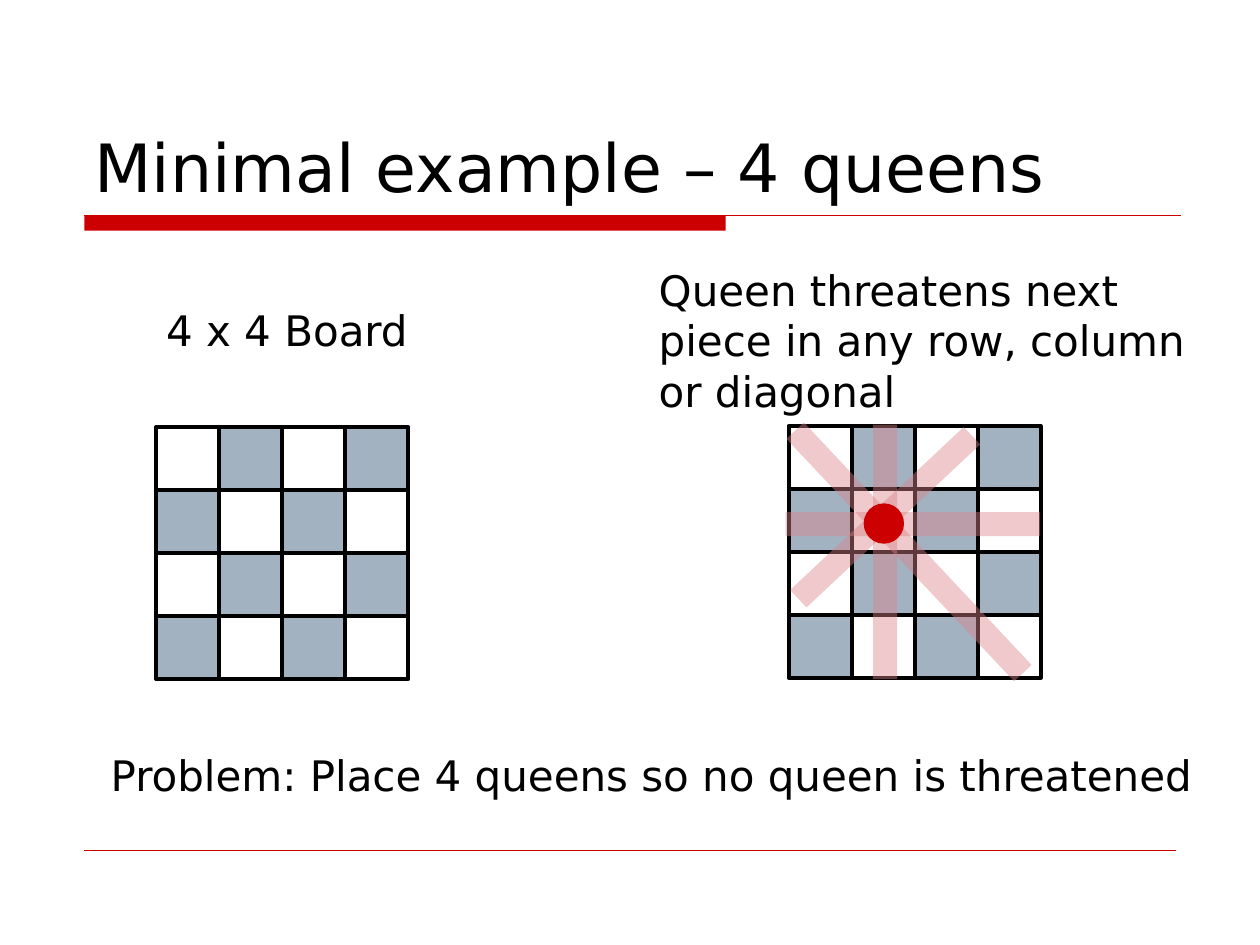
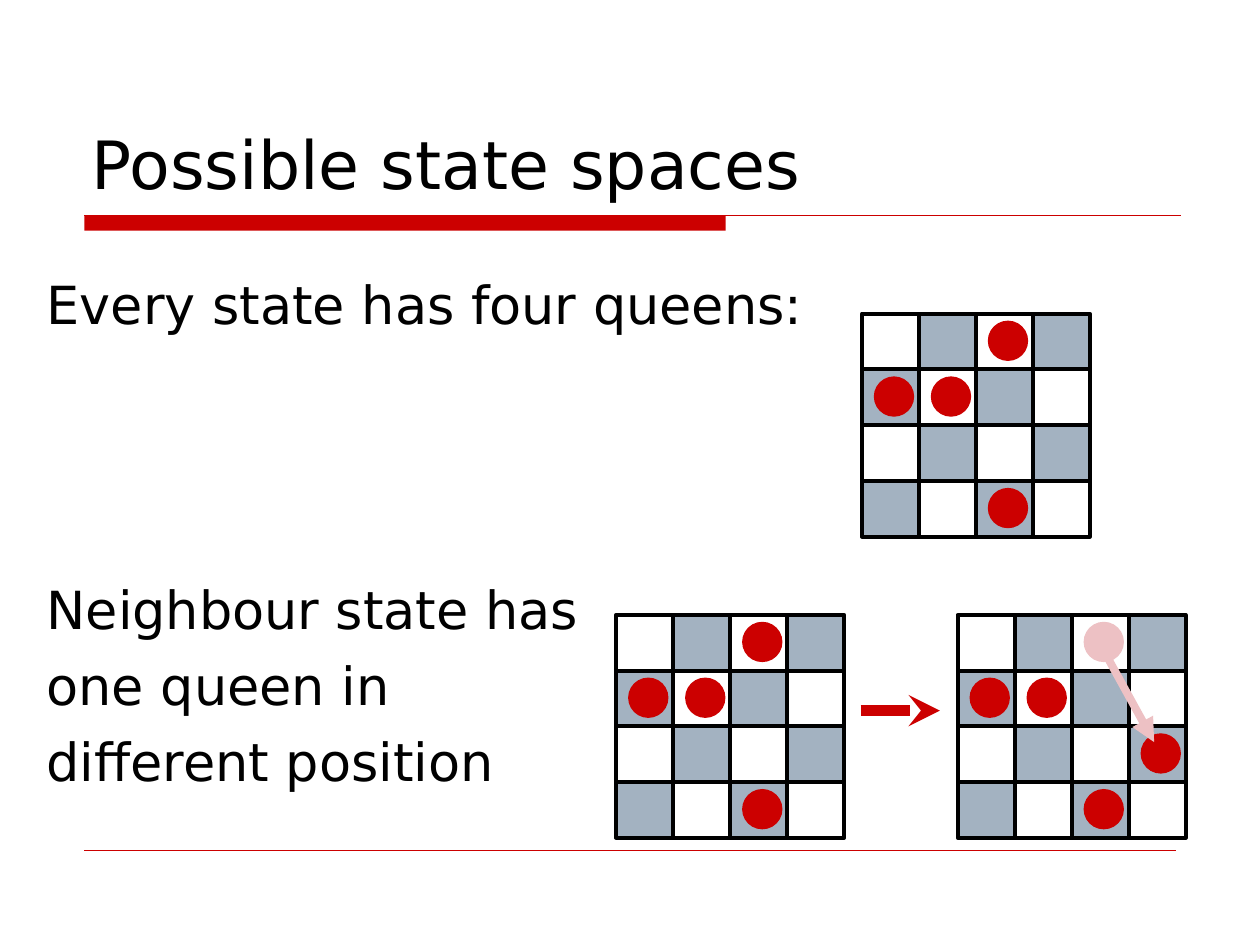
from dataclasses import dataclass

from lxml.etree import SubElement
from pptx import Presentation
from pptx.dml.color import RGBColor
from pptx.enum.shapes import MSO_CONNECTOR, MSO_SHAPE
from pptx.enum.text import MSO_ANCHOR, MSO_AUTO_SIZE, PP_ALIGN
from pptx.oxml.ns import qn
from pptx.util import Inches, Pt


@dataclass(frozen=True)
class Theme:
    font: str = "DejaVu Sans"
    text: str = "000000"
    accent: str = "CC0000"
    beam: str = "DA8288"
    former: str = "EDC1C4"
    light_square: str = "FFFFFF"
    dark_square: str = "A3B2C1"
    title_size: int = 38
    body_size: int = 30
    label_size: int = 24


theme = Theme()
BOARD_SIZE = 4
QUEEN_DIAMETER = 0.31


def add_filled_shape(shapes, kind, bounds, fill, line=None, line_width=0.75):
    shape = shapes.add_shape(kind, *[Inches(value) for value in bounds])
    shape.shadow.inherit = False
    shape.fill.solid()
    shape.fill.fore_color.rgb = RGBColor.from_string(fill)
    if line:
        shape.line.color.rgb = RGBColor.from_string(line)
        shape.line.width = Pt(line_width)
    else:
        shape.line.fill.background()
    return shape


def add_line(slide, start, end, color, width, arrowhead=None):
    connector = slide.shapes.add_connector(
        MSO_CONNECTOR.STRAIGHT, *[Inches(value) for value in (*start, *end)])
    connector.line.color.rgb = RGBColor.from_string(color)
    connector.line.width = Pt(width)
    properties = connector.element.find(qn("p:spPr"))
    if arrowhead:
        SubElement(properties.find(qn("a:ln")), qn("a:tailEnd"), type=arrowhead)
    SubElement(properties, qn("a:effectLst"))


presentation = Presentation()
presentation.slide_width = Inches(10)
presentation.slide_height = Inches(7.5)

# Titles, header band and footer line
slides = []
for layout_index, title, left, top in [
    (5, "Minimal example – 4 queens", 0.65, 0.35),
    (1, "Possible state spaces", 0.63, 0.33),
]:
    slide = presentation.slides.add_slide(presentation.slide_layouts[layout_index])
    slides.append(slide)
    add_filled_shape(slide.shapes, MSO_SHAPE.RECTANGLE, (0.67, 1.71, 5.09, 0.12), theme.accent)
    add_line(slide, (0.67, 1.71), (9.37, 1.71), theme.accent, 0.75)
    add_line(slide, (0.67, 6.75), (9.33, 6.75), theme.accent, 0.25)

    placeholder = slide.shapes.title
    placeholder.left, placeholder.top = Inches(left), Inches(top)
    placeholder.width, placeholder.height = Inches(8.75), Inches(1.33)
    frame = placeholder.text_frame
    frame.auto_size = MSO_AUTO_SIZE.NONE
    frame.vertical_anchor = MSO_ANCHOR.BOTTOM
    paragraph = frame.paragraphs[0]
    paragraph.alignment = PP_ALIGN.LEFT
    run = paragraph.add_run()
    run.text = title
    run.font.name = theme.font
    run.font.size = Pt(theme.title_size)
    run.font.color.rgb = RGBColor.from_string(theme.text)

example_slide, states_slide = slides

# Statements about states
body = states_slide.placeholders[1]
body.left, body.top = Inches(0.27), Inches(2.11)
body.width, body.height = Inches(8.75), Inches(4.67)
frame = body.text_frame
frame.auto_size = MSO_AUTO_SIZE.NONE
for index, (text, space_before) in enumerate([
    ("Every state has four queens:", 7.5),
    ("Neighbour state has", 138),
    ("one queen in", 7.5),
    ("different position", 7.5),
]):
    paragraph = frame.add_paragraph() if index else frame.paragraphs[0]
    paragraph.space_before = Pt(space_before)
    properties = paragraph._p.get_or_add_pPr()
    properties.set("marL", str(Inches(0.51)))
    properties.set("indent", str(-Inches(0.51)))
    SubElement(properties, qn("a:buNone"))
    run = paragraph.add_run()
    run.text = text
    run.font.name = theme.font
    run.font.size = Pt(theme.body_size)
    run.font.color.rgb = RGBColor.from_string(theme.text)

# Boards: slide, position, size, queen inset in its square, beams, queens by row and column
threat_beams = [
    ((6.93, 3.37, 0.19, 2.02), 0),
    ((7.15, 3.15, 0.19, 2.02), 270),
    ((7.12, 3.06, 0.19, 2.64), 316.8),
    ((6.93, 3.16, 0.19, 1.89), 226.8),
]
large, small = (2, 2), (1.81, 1.77)
large_inset, small_inset = (0.1, 0.12), (0.1, 0.06)
start_state = [(1, 0), (1, 1), (3, 2), (0, 2)]
neighbour_state = [(1, 0), (1, 1), (3, 2), (2, 3)]
former_queen = (0, 2)
boards = [
    (example_slide, (1.24, 3.39), large, large_inset, [], [], None),
    (example_slide, (6.26, 3.38), large, large_inset, threat_beams, [(1, 1)], None),
    (states_slide, (6.84, 2.49), small, small_inset, [], start_state, None),
    (states_slide, (4.89, 4.88), small, small_inset, [], start_state, None),
    (states_slide, (7.6, 4.88), small, small_inset, [], neighbour_state, former_queen),
]
for slide, (left, top), (width, height), inset, beams, queens, former in boards:
    board = slide.shapes.add_group_shape()
    square_width, square_height = width / BOARD_SIZE, height / BOARD_SIZE
    for row in range(BOARD_SIZE):
        for column in range(BOARD_SIZE):
            add_filled_shape(
                board.shapes, MSO_SHAPE.RECTANGLE,
                (left + column * square_width, top + row * square_height,
                 square_width, square_height),
                theme.dark_square if (row + column) % 2 else theme.light_square,
                theme.text, 2.25)
    for bounds, rotation in beams:
        beam = add_filled_shape(board.shapes, MSO_SHAPE.RECTANGLE, bounds, theme.beam)
        beam.rotation = rotation
        color = beam.element.find(".//" + qn("a:srgbClr"))
        SubElement(color, qn("a:alpha"), val="43000")
    pieces = [(queen, theme.accent) for queen in queens]
    if former:
        pieces.append((former, theme.former))
    for (row, column), color in pieces:
        add_filled_shape(
            board.shapes, MSO_SHAPE.OVAL,
            (left + inset[0] + column * square_width, top + inset[1] + row * square_height,
             QUEEN_DIAMETER, QUEEN_DIAMETER),
            color, color)

# Moves between states
add_line(states_slide, (6.83, 5.64), (7.46, 5.64), theme.accent, 6, "stealth")
add_line(states_slide, (8.78, 5.2), (9.16, 5.89), theme.former, 4.5, "triangle")

# Labels around the example boards
for text, bounds in [
    ("4 x 4 Board", (1.22, 2.37, 2.27, 0.5)),
    ("Queen threatens next piece in any row, column or diagonal", (5.13, 2.05, 4.53, 1.3)),
    ("Problem: Place 4 queens so no queen is threatened", (0.78, 5.9, 9.01, 0.5)),
]:
    label = example_slide.shapes.add_textbox(*[Inches(value) for value in bounds])
    label.text_frame.word_wrap = True
    run = label.text_frame.paragraphs[0].add_run()
    run.text = text
    run.font.name = theme.font
    run.font.size = Pt(theme.label_size)
    run.font.color.rgb = RGBColor.from_string(theme.text)

presentation.save("out.pptx")
